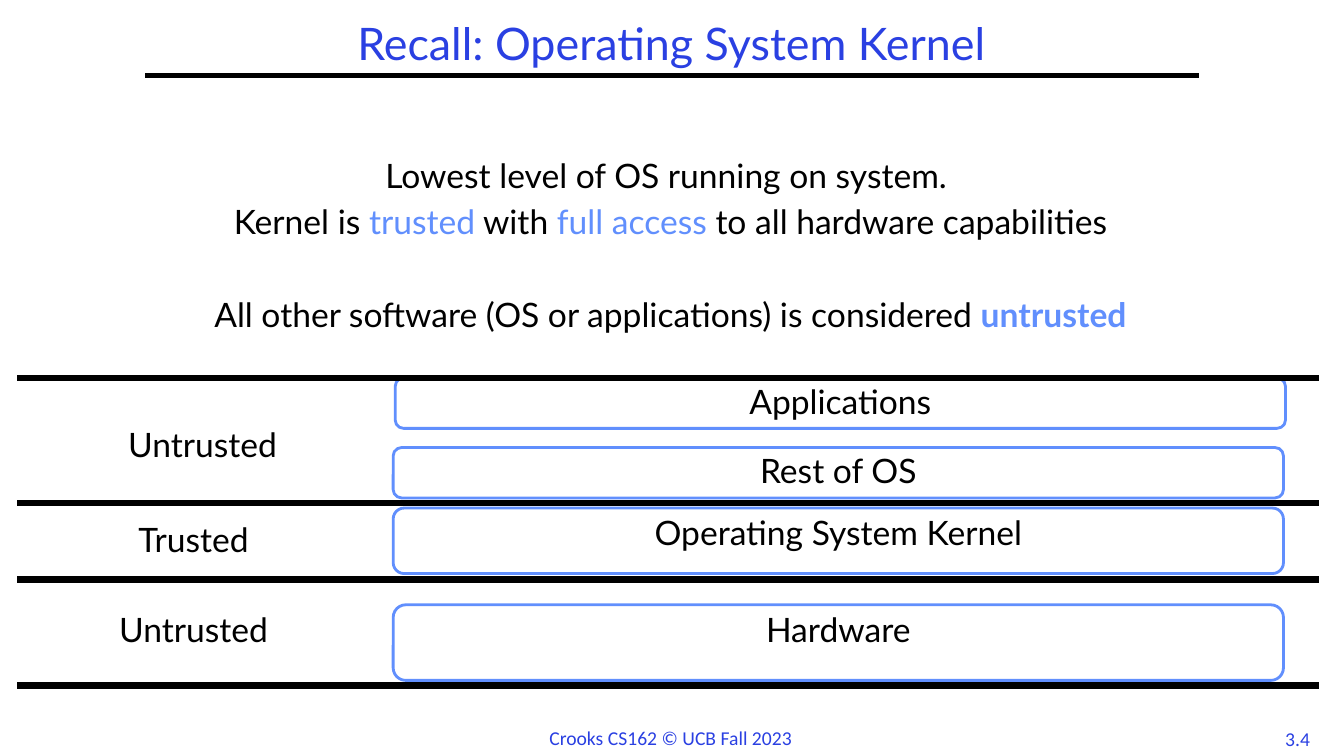
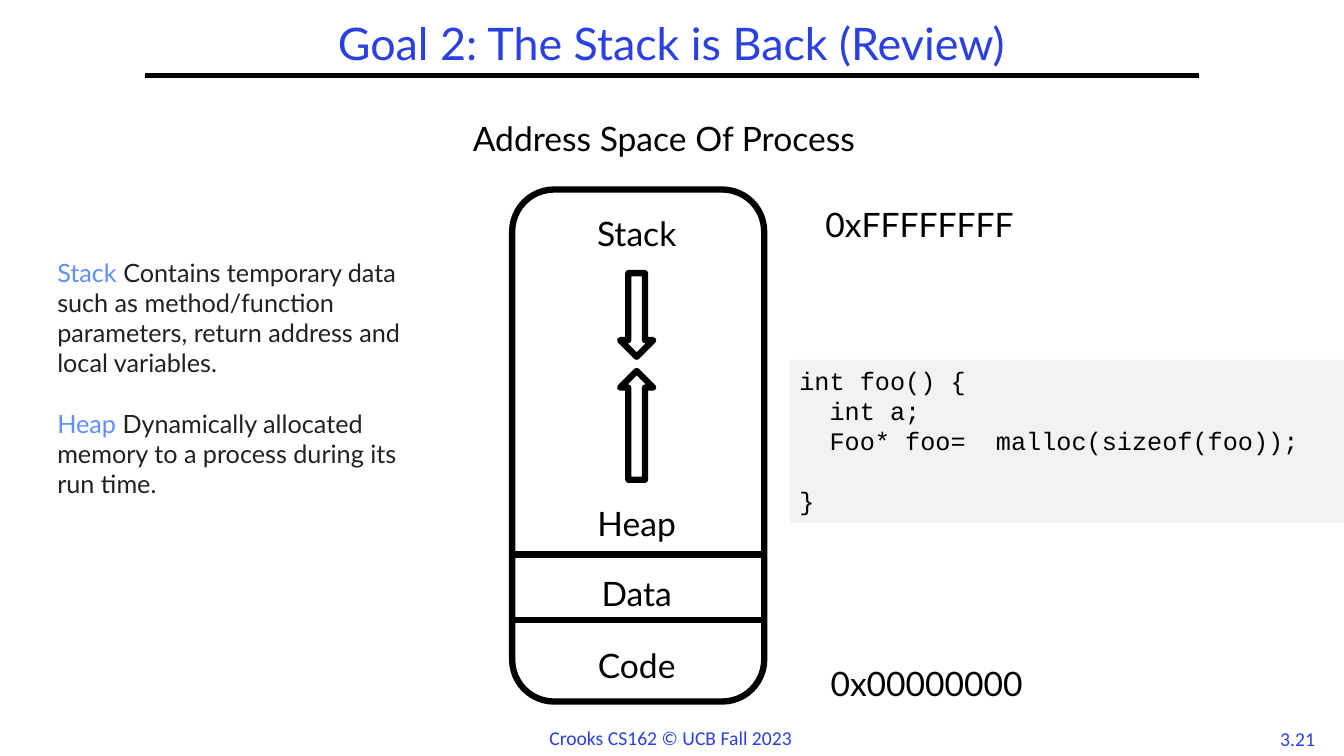
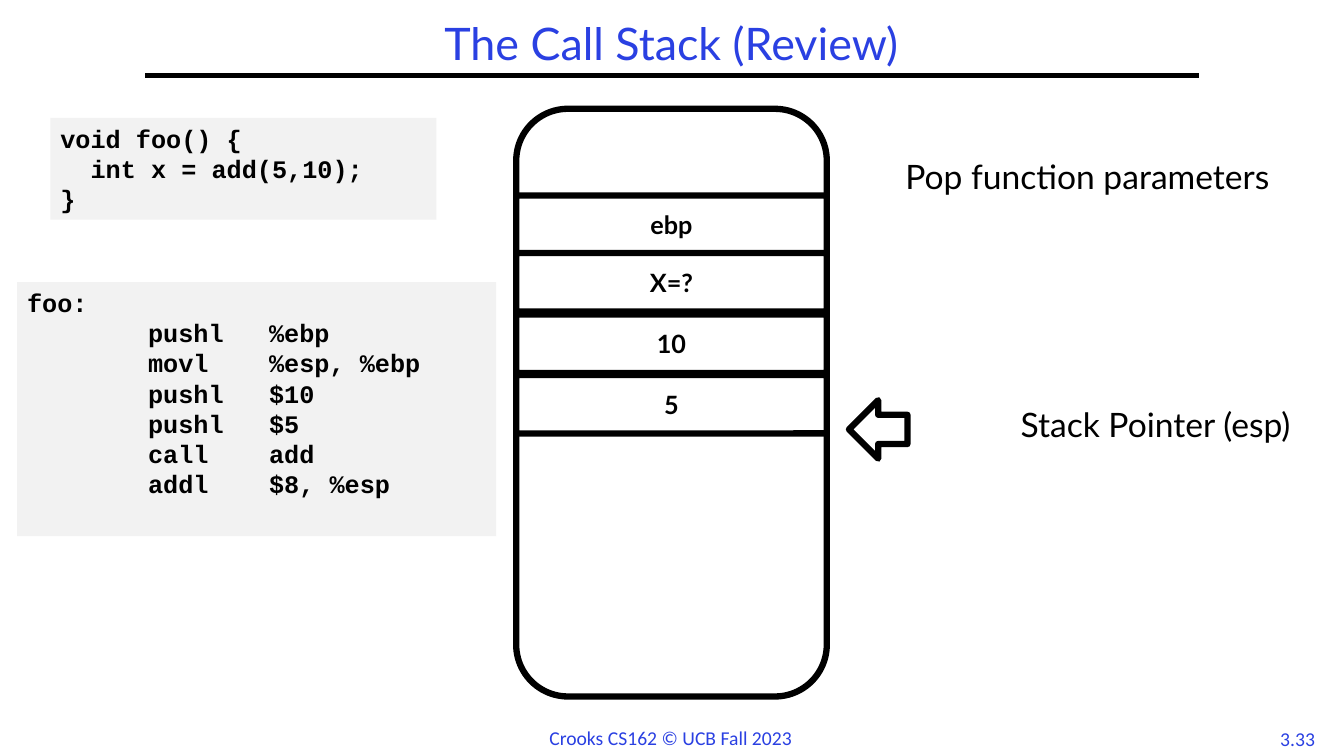
from lxml.etree import SubElement
from pptx import Presentation
from pptx.dml.color import RGBColor
from pptx.enum.shapes import MSO_CONNECTOR, MSO_SHAPE
from pptx.enum.text import MSO_ANCHOR, PP_ALIGN
from pptx.oxml.ns import qn
from pptx.util import Inches, Pt

BLACK, WHITE, TITLE_BLUE, ACCENT = "000000", "FFFFFF", "2A40E2", "618FFD"
CODE_GRAY, NOTE_GRAY = "F2F2F2", "202124"
SANS, MONO, FOOTER_FONT = "Lato", "Courier New", "Calibri"
HEAVY = 4.5
BODY_GAP = 7.2


def color(value):
    """Turn a hex string into a colour."""
    return RGBColor.from_string(value)


def write(box, paragraphs, size=24, font=SANS, align=PP_ALIGN.CENTER,
          anchor=MSO_ANCHOR.TOP, spacing=0.9, gaps=()):
    """Fill a box with paragraphs, each a list of (text, colour, bold) runs."""
    frame = box.text_frame
    frame.word_wrap = True
    frame.vertical_anchor = anchor
    for index, runs in enumerate(paragraphs):
        para = frame.add_paragraph() if index else frame.paragraphs[0]
        para.alignment = align
        para.line_spacing = spacing
        if index and gaps:
            para.space_before = Pt(gaps[index - 1])
        for text, hue, bold in runs:
            span = para.add_run()
            span.text = text
            span.font.size = Pt(size)
            span.font.name = font
            span.font.bold = bold
            span.font.color.rgb = color(hue)


def add_text(page, place, paragraphs, **style):
    """Add a text box at (left, top, width, height)."""
    box = page.shapes.add_textbox(*map(Inches, place))
    write(box, paragraphs, **style)


def add_label(page, place, text, hue=BLACK, **style):
    """Add a text box holding one run."""
    add_text(page, place, [[(text, hue, False)]], **style)


def add_block(page, kind, place, fill=WHITE, line=BLACK, weight=HEAVY):
    """Add a flat preset shape, outlined unless line is None."""
    block = page.shapes.add_shape(kind, *map(Inches, place))
    block.shadow.inherit = False
    block.fill.solid()
    block.fill.fore_color.rgb = color(fill)
    if line:
        block.line.color.rgb = color(line)
        block.line.width = Pt(weight)
    else:
        block.line.fill.background()
    return block


def add_rule(page, left, right, top, weight=HEAVY):
    """Add a horizontal black line."""
    rule = page.shapes.add_connector(
        MSO_CONNECTOR.STRAIGHT, Inches(left), Inches(top), Inches(right), Inches(top))
    rule.line.color.rgb = color(BLACK)
    rule.line.width = Pt(weight)
    SubElement(rule._element.spPr, qn("a:effectLst"))


def add_code(page, place, lines, bold=False, gaps=()):
    """Add a gray panel with lines of code."""
    panel = add_block(page, MSO_SHAPE.RECTANGLE, place, CODE_GRAY, None)
    write(panel, [[(line, BLACK, bold)] for line in lines], size=18, font=MONO,
          align=PP_ALIGN.LEFT, spacing=Pt(21.6), gaps=gaps)


def add_page(deck, title, number):
    """Add a blank page with the shared title, rule and footer."""
    page = deck.slides.add_slide(deck.slide_layouts[6])
    footer = {"hue": TITLE_BLUE, "size": 14, "font": FOOTER_FONT, "spacing": 1.0}
    add_label(page, (12.48, 7.16, 0.78, 0.33), number, **footer)
    add_rule(page, 1.44, 11.89, 0.75, 3)
    add_label(page, (5.35, 7.15, 2.83, 0.34), "Crooks CS162 © UCB Fall 2023",
              align=PP_ALIGN.LEFT, **footer)
    add_label(page, (1.44, 0.17, 10.44, 0.58), title, TITLE_BLUE, size=32,
              anchor=MSO_ANCHOR.MIDDLE)
    return page


def build_kernel(deck):
    """Show the layers of trust around the kernel."""
    page = add_page(deck, "Recall: Operating System Kernel", "3.4")
    add_text(page, (0.15, 1.53, 13, 2.1), [
        [("Lowest level of OS running on system. ", BLACK, False)],
        [("Kernel is ", BLACK, False), ("trusted", ACCENT, False),
         (" with ", BLACK, False), ("full access ", ACCENT, False),
         ("to all hardware capabilities", BLACK, False)],
        [("All other software (OS or applications) is considered ", BLACK, False),
         ("untrusted", ACCENT, True)],
    ], gaps=(BODY_GAP, 40.3))
    layers = [("Hardware", 3.9, 6, 0.75), ("Operating System Kernel", 3.9, 5.04, 0.65),
              ("Rest of OS", 3.9, 4.44, 0.5), ("Applications", 3.92, 3.75, 0.5)]
    for name, left, top, height in layers:
        layer = add_block(page, MSO_SHAPE.ROUNDED_RECTANGLE, (left, top, 8.83, height),
                          line=ACCENT, weight=2)
        write(layer, [[(name, BLACK, False)]])
    for top in (3.75, 4.99, 5.75, 6.8):
        add_rule(page, 0.17, 13.08, top)
    for name, left, top in (("Untrusted", 0.26, 4.2), ("Trusted", 0.17, 5.14),
                            ("Untrusted", 0.17, 6.04)):
        add_label(page, (left, top, 3.5, 0.5), name)


def build_address_space(deck):
    """Show the address space of a process."""
    page = add_page(deck, "Goal 2: The Stack is Back (Review)", "3.21")
    add_label(page, (0.17, 1.17, 12.83, 0.5), "Address Space Of Process")
    add_block(page, MSO_SHAPE.ROUNDED_RECTANGLE, (5.08, 1.88, 2.5, 5.08))
    for name, top in (("Stack", 2.11), ("Heap", 4.99), ("Data", 5.68), ("Code", 6.39)):
        add_label(page, (5.08, top, 2.47, 0.5), name)
    for top in (5.5, 6.15):
        add_rule(page, 5.06, 7.56, top)
    add_block(page, MSO_SHAPE.UP_ARROW, (6.15, 3.68, 0.33, 1.08))
    add_block(page, MSO_SHAPE.DOWN_ARROW, (6.15, 2.71, 0.33, 0.83))
    add_label(page, (6.41, 2.02, 5.42, 0.86), "0xFFFFFFFF")
    add_label(page, (6.48, 6.57, 5.42, 0.86), "0x00000000")
    add_text(page, (0.47, 2.5, 3.7, 3.43), [
        [("Stack ", ACCENT, False),
         ("Contains temporary data such as method/function parameters, "
          "return address and local variables.", NOTE_GRAY, False)],
        [("Heap", ACCENT, False),
         (" Dynamically allocated memory to a process during its run time.",
          NOTE_GRAY, False)],
    ], size=18, align=PP_ALIGN.LEFT, spacing=1.0, gaps=(21.6,))
    add_code(page, (7.83, 3.57, 5.5, 1.62),
             ["int foo() {", "  int a;", "  Foo* foo=  malloc(sizeof(foo));", "}"],
             gaps=(0, 0, 21.6))


def build_call_stack(deck):
    """Show the call stack beside its code."""
    page = add_page(deck, "The Call Stack (Review)", "3.33")
    add_block(page, MSO_SHAPE.ROUNDED_RECTANGLE, (5.12, 1.08, 3.08, 5.83))
    add_code(page, (0.5, 1.17, 3.83, 1.01),
             ["void foo() {", "  int x = add(5,10);", "}"], bold=True)
    for name, top in (("ebp", 1.94), ("X=?", 2.51), ("10", 3.12), ("5", 3.72)):
        cell = add_block(page, MSO_SHAPE.ROUNDED_RECTANGLE, (5.12, top, 3.08, 0.58))
        cell.adjustments[0] = 0.02
        write(cell, [[(name, BLACK, True)]], size=18, anchor=MSO_ANCHOR.MIDDLE, spacing=1.0)
    add_code(page, (0.17, 2.8, 4.75, 2.52), [
        "foo:",
        "        pushl   %ebp",
        "        movl    %esp, %ebp",
        "        pushl   $10",
        "        pushl   $5",
        "        call    add",
        "        addl    $8, %esp",
    ], bold=True)
    add_block(page, MSO_SHAPE.LEFT_ARROW, (8.42, 3.97, 0.58, 0.58))
    add_label(page, (9.66, 4, 3.6, 0.86), "Stack Pointer (esp)")
    add_label(page, (8.41, 1.54, 4.75, 0.86), "Pop function parameters")


def main():
    """Build and save the deck."""
    deck = Presentation()
    deck.slide_width, deck.slide_height = Inches(13.33), Inches(7.5)
    for build in (build_kernel, build_address_space, build_call_stack):
        build(deck)
    deck.save("out.pptx")


if __name__ == "__main__":
    main()
